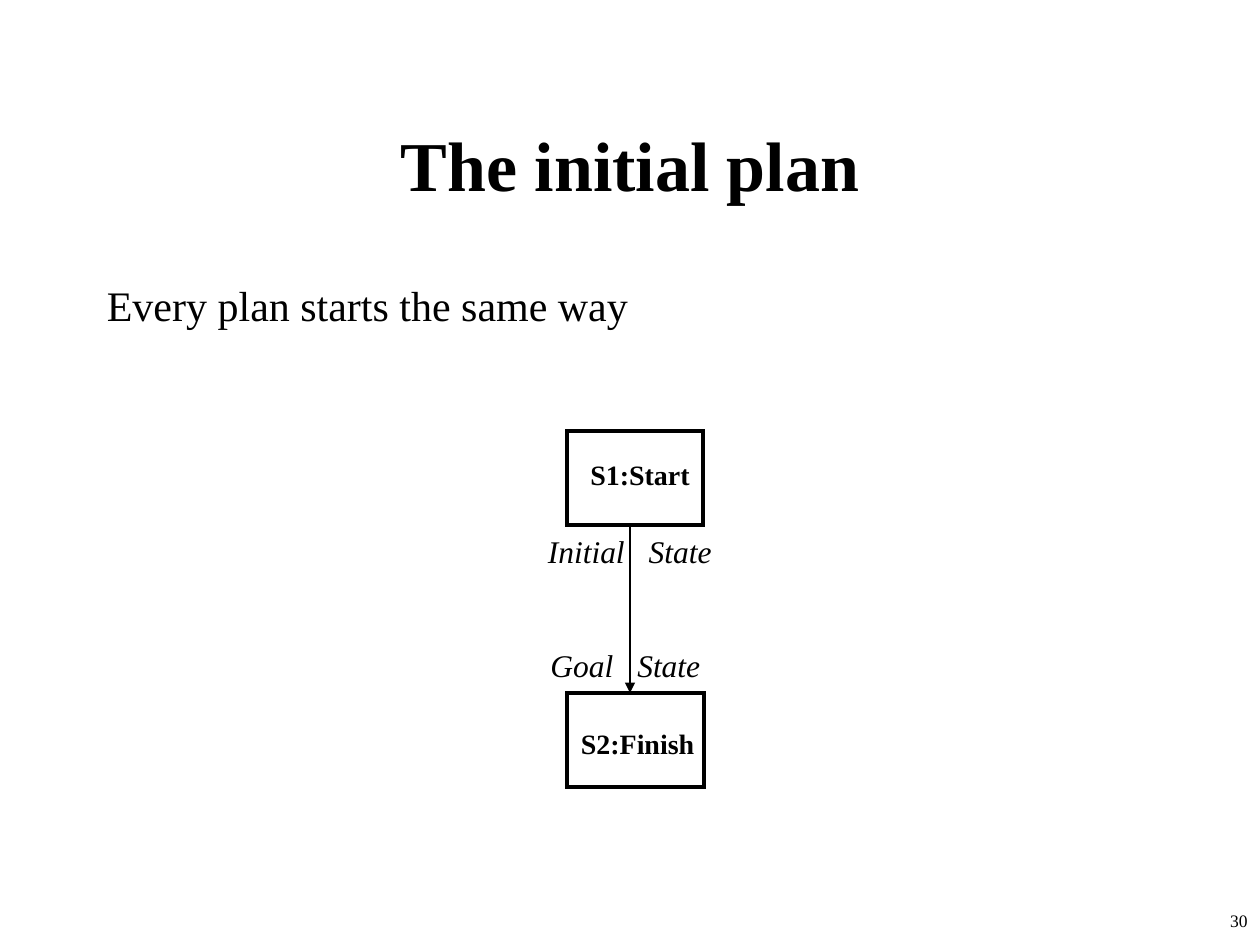
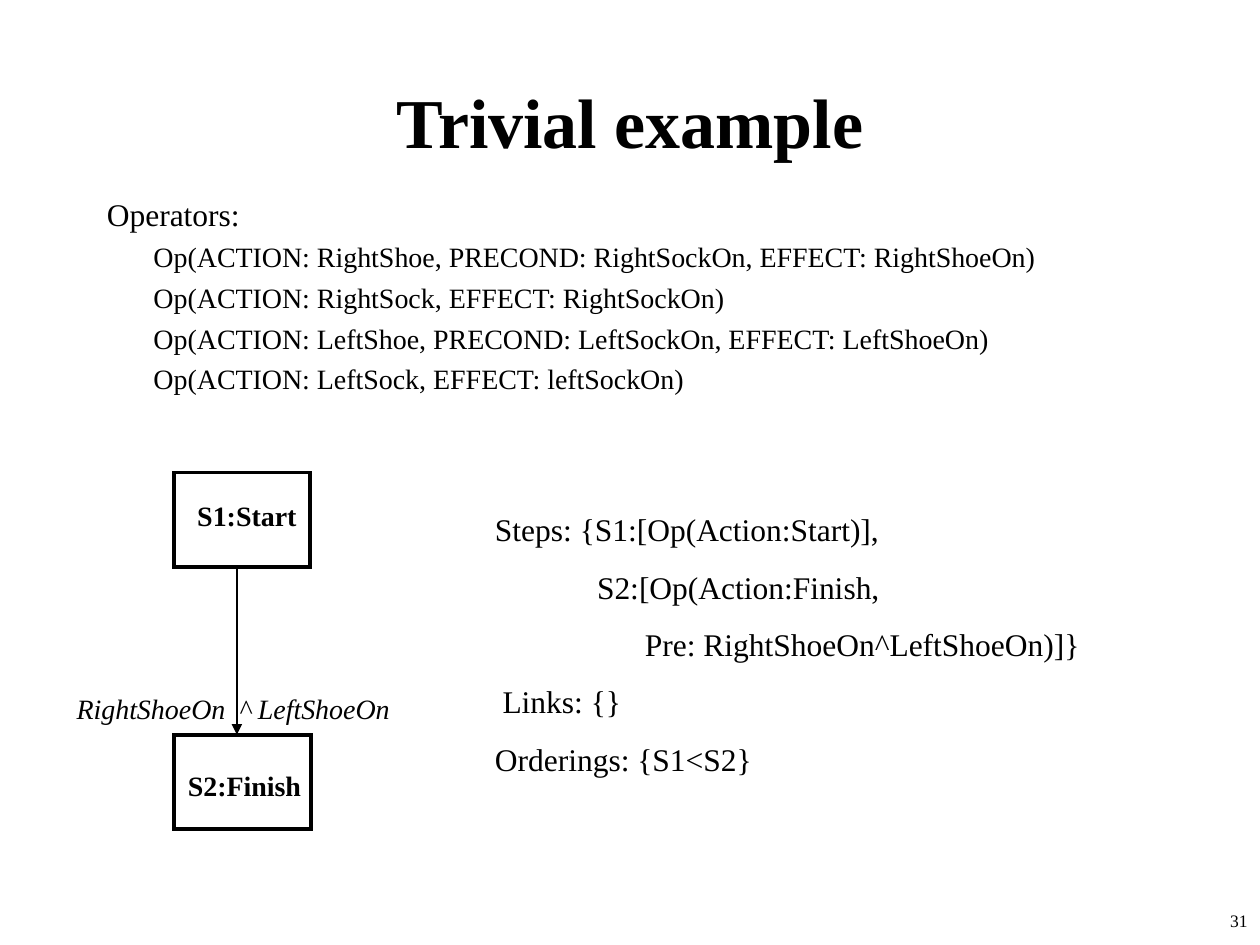
from dataclasses import dataclass

from lxml import etree
from pptx import Presentation
from pptx.dml.color import RGBColor
from pptx.enum.shapes import MSO_CONNECTOR, MSO_SHAPE
from pptx.enum.text import MSO_ANCHOR, MSO_AUTO_SIZE, PP_ALIGN
from pptx.oxml.ns import qn
from pptx.util import Inches, Pt

LEFT, CENTER, RIGHT = PP_ALIGN.LEFT, PP_ALIGN.CENTER, PP_ALIGN.RIGHT
MIDDLE, NO_AUTOFIT = MSO_ANCHOR.MIDDLE, MSO_AUTO_SIZE.NONE
RECTANGLE, STRAIGHT = MSO_SHAPE.RECTANGLE, MSO_CONNECTOR.STRAIGHT
TITLE_ONLY = 5


@dataclass(frozen=True)
class Theme:
    font: str = "Times New Roman"
    ink: RGBColor = RGBColor(0x00, 0x00, 0x00)
    paper: RGBColor = RGBColor(0xFF, 0xFF, 0xFF)
    title_size: float = 40
    lead_size: float = 24
    text_size: float = 18
    small_size: float = 16
    number_size: float = 10
    box_line: float = 2.25
    arrow_line: float = 1


@dataclass(frozen=True)
class Line:
    """One paragraph: its text, left indent in inches, size and space before in points."""
    text: str
    indent: float = 0
    size: float = Theme.text_size
    before: float = 0


class Deck:
    def __init__(self, theme):
        self.theme = theme
        self.presentation = Presentation()
        self.presentation.slide_width = Inches(10)
        self.presentation.slide_height = Inches(7.5)
        self.slide = None

    def add_slide(self, title, title_top, number):
        layout = self.presentation.slide_layouts[TITLE_ONLY]
        self.slide = self.presentation.slides.add_slide(layout)
        fill = self.slide.background.fill
        fill.solid()
        fill.fore_color.rgb = self.theme.paper
        shape = self.slide.shapes.title
        shape.left, shape.top = Inches(0.75), Inches(title_top)
        shape.width, shape.height = Inches(8.5), Inches(1.25)
        frame = shape.text_frame
        frame.auto_size = NO_AUTOFIT
        frame.vertical_anchor = MIDDLE
        frame.text = title
        self.style(frame.paragraphs[0], self.theme.title_size, CENTER, bold=True)
        number_line = Line(str(number), size=self.theme.number_size)
        self.text([number_line], 7.92, 7.17, 2.08, 0.33, RIGHT)

    def style(self, paragraph, size, align, bold=False, italic=False):
        paragraph.alignment = align
        font = paragraph.font
        font.name, font.size = self.theme.font, Pt(size)
        font.bold, font.italic = bold, italic
        font.color.rgb = self.theme.ink

    def text(self, lines, left, top, width, height, align=LEFT, **emphasis):
        shape = self.slide.shapes.add_textbox(
            Inches(left), Inches(top), Inches(width), Inches(height))
        frame = shape.text_frame
        frame.word_wrap = True
        if align == CENTER:
            frame.margin_left = frame.margin_right = 0
        for index, line in enumerate(lines):
            paragraph = frame.add_paragraph() if index else frame.paragraphs[0]
            paragraph.text = line.text
            properties = paragraph._p.get_or_add_pPr()
            properties.set("marL", str(Inches(line.indent)))
            properties.set("indent", "0")
            paragraph.space_before = Pt(line.before)
            self.style(paragraph, line.size, align, **emphasis)

    def state_label(self, before_arrow, after_arrow, left, top, offset, size):
        """Write an italic condition in two parts, one on each side of the arrow."""
        for text, part_left in ((before_arrow, left), (after_arrow, left + offset)):
            self.text([Line(text, size=size)], part_left, top, 1.6, 0.4, italic=True)

    def box(self, left, top, width):
        shape = self.slide.shapes.add_shape(
            RECTANGLE, Inches(left), Inches(top), Inches(width), Inches(0.75))
        shape.shadow.inherit = False
        shape.fill.background()
        shape.line.color.rgb = self.theme.ink
        shape.line.width = Pt(self.theme.box_line)
        etree.SubElement(shape.line._get_or_add_ln(), qn("a:miter"), lim="800000")

    def arrow(self, x, top, bottom):
        connector = self.slide.shapes.add_connector(
            STRAIGHT, Inches(x), Inches(top), Inches(x), Inches(bottom))
        connector.line.color.rgb = self.theme.ink
        connector.line.width = Pt(self.theme.arrow_line)
        etree.SubElement(connector.line._get_or_add_ln(), qn("a:tailEnd"), type="triangle")
        etree.SubElement(connector._element.spPr, qn("a:effectLst"))

    def plan(self, left, top):
        """Draw the start step, the finish step and the arrow between them."""
        finish_top = top + 2.08
        size = self.theme.small_size
        self.box(left, top, 1.08)
        self.text([Line("S1:Start", size=size)], left + 0.08, top + 0.16, 1, 0.37,
                  CENTER, bold=True)
        self.box(left, finish_top, 1.09)
        self.text([Line("S2:Finish", size=size)], left, finish_top + 0.22, 1.12, 0.37,
                  CENTER, bold=True)
        self.arrow(left + 0.5, top + 0.75, finish_top)


def initial_plan(deck):
    theme = deck.theme
    deck.add_slide("The initial plan", 0.67, 30)
    deck.text([Line("Every plan starts the same way", size=theme.lead_size, before=6)],
              0.75, 2.17, 8.5, 0.67)
    deck.plan(4.5, 3.42)
    deck.state_label("Initial", "State", 4.25, 4.17, 0.8, theme.text_size)
    deck.state_label("Goal", "State", 4.27, 5.08, 0.69, theme.text_size)


def trivial_example(deck):
    theme = deck.theme
    deck.add_slide("Trivial example", 0.33, 31)
    operators = [
        "Op(ACTION: RightShoe, PRECOND: RightSockOn, EFFECT: RightShoeOn)",
        "Op(ACTION: RightSock, EFFECT: RightSockOn)",
        "Op(ACTION: LeftShoe, PRECOND: LeftSockOn, EFFECT: LeftShoeOn)",
        "Op(ACTION: LeftSock, EFFECT: leftSockOn)",
    ]
    deck.text([Line("Operators:", before=4.5)]
              + [Line(text, 0.37, theme.small_size, 4) for text in operators],
              0.75, 1.5, 8.5, 1.67)
    deck.plan(1.38, 3.75)
    deck.state_label("RightShoeOn", "^ LeftShoeOn", 0.51, 5.44, 1.29, theme.small_size)
    plan_parts = [
        ("Steps: {S1:[Op(Action:Start)],", 0),
        ("S2:[Op(Action:Finish,", 0.81),
        ("Pre: RightShoeOn^LeftShoeOn)]}", 1.19),
        ("Links: {}", 0.06),
        ("Orderings: {S1<S2}", 0),
    ]
    deck.text([Line(text, indent, before=11.2) for text, indent in plan_parts],
              3.83, 4, 5.25, 2.23)


def main():
    deck = Deck(Theme())
    initial_plan(deck)
    trivial_example(deck)
    deck.presentation.save("out.pptx")


if __name__ == "__main__":
    main()
